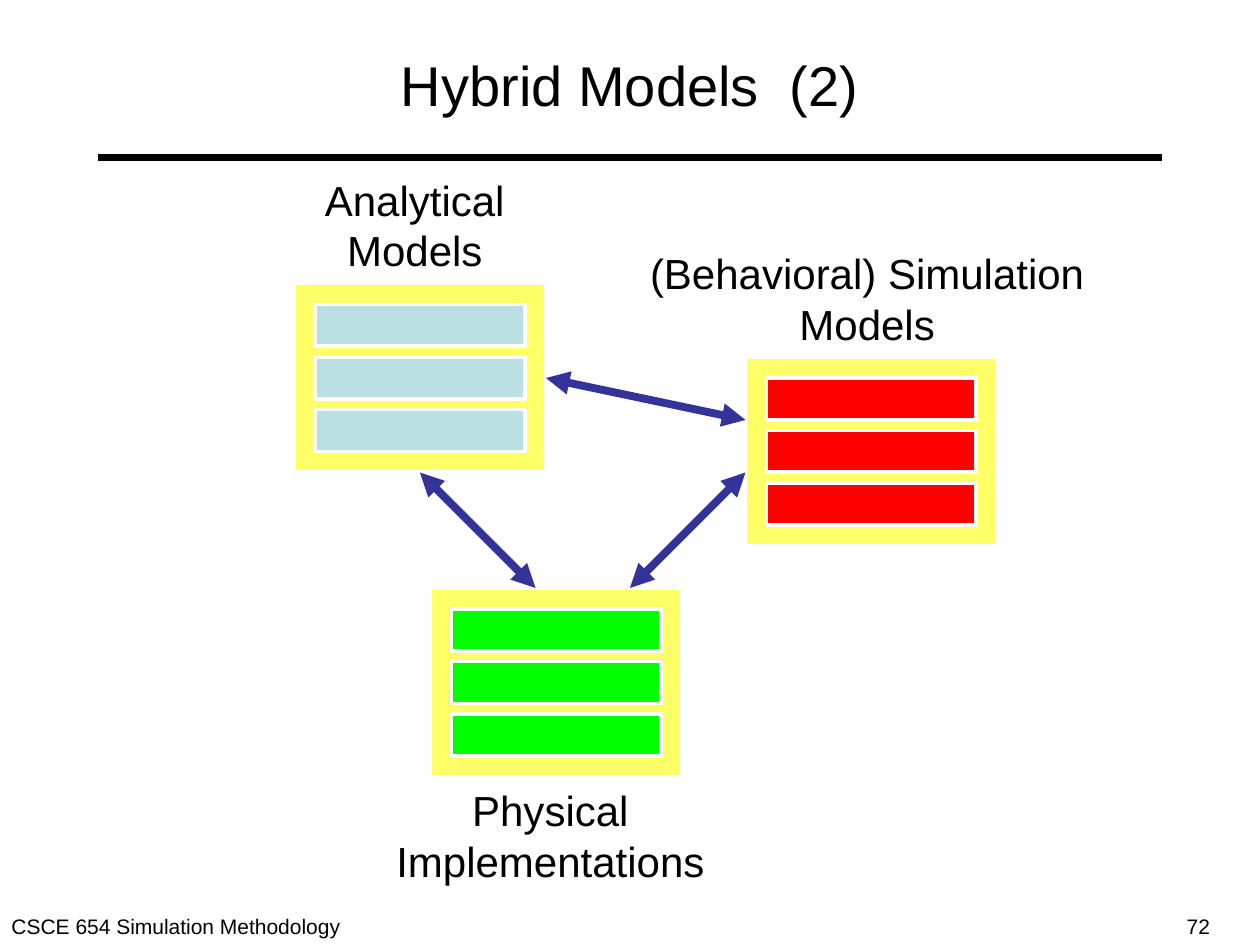
from dataclasses import dataclass

from pptx import Presentation
from pptx.dml.color import RGBColor
from pptx.enum.shapes import MSO_CONNECTOR, MSO_SHAPE
from pptx.enum.text import MSO_ANCHOR, PP_ALIGN
from pptx.oxml.ns import qn
from pptx.util import Pt
from lxml.etree import SubElement


@dataclass(frozen=True)
class Theme:
    font: str = "Arial"
    title: int = 32
    label: int = 24
    footer: int = 12
    text: str = "000000"
    panel: str = "FFFF66"
    outline: str = "FFFFFF"
    arrow: str = "333399"
    analytical: str = "BBE0E3"
    simulation: str = "FF0000"
    physical: str = "00FF00"


theme = Theme()


def write(tf, text, size, align):
    tf.word_wrap = True
    tf.text = text
    p = tf.paragraphs[0]
    p.alignment = align
    p.font.name = theme.font
    p.font.size = Pt(size)
    p.font.color.rgb = RGBColor.from_string(theme.text)


def add_line(x1, y1, x2, y2, color, arrows=False):
    line = s.shapes.add_connector(MSO_CONNECTOR.STRAIGHT, Pt(x1), Pt(y1), Pt(x2), Pt(y2))
    line.line.color.rgb = RGBColor.from_string(color)
    line.line.width = Pt(4.5)
    if arrows:
        ln = line.line._get_or_add_ln()
        for end in ("a:headEnd", "a:tailEnd"):
            SubElement(ln, qn(end), type="triangle")
    SubElement(line._element.spPr, qn("a:effectLst"))


prs = Presentation()
prs.slide_width, prs.slide_height = Pt(720), Pt(540)
s = prs.slides.add_slide(prs.slide_layouts[5])

# Title and rule
title = s.shapes.title
title.left, title.top, title.width, title.height = Pt(36), Pt(12), Pt(648), Pt(72)
title.text_frame.vertical_anchor = MSO_ANCHOR.MIDDLE
write(title.text_frame, "Hybrid Models  (2)", theme.title, PP_ALIGN.CENTER)
add_line(56.25, 90, 663.75, 90, theme.text)

# Model panels, each holding three bars
PANEL_W, PANEL_H = 144, 108
INSET, BAR_H, BAR_PITCH = 12, 24, 30
panels = [
    (168, 162, theme.analytical),
    (426, 204, theme.simulation),
    (246, 336, theme.physical),
]
for x, y, color in panels:
    boxes = [(x, y, PANEL_W, PANEL_H, theme.panel)]
    boxes += [
        (x + INSET, y + INSET + i * BAR_PITCH, PANEL_W - 2 * INSET, BAR_H, color)
        for i in range(3)
    ]
    for left, top, width, height, fill in boxes:
        sp = s.shapes.add_shape(MSO_SHAPE.RECTANGLE, Pt(left), Pt(top), Pt(width), Pt(height))
        sp.shadow.inherit = False
        sp.fill.solid()
        sp.fill.fore_color.rgb = RGBColor.from_string(fill)
        sp.line.color.rgb = RGBColor.from_string(theme.outline)
        sp.line.width = Pt(2.25)

# Links between the panels
for ends in [(312, 216, 426, 240), (426, 270, 360, 336), (240, 270, 306, 336)]:
    add_line(*ends, theme.arrow, arrows=True)

# Panel labels and footer
texts = [
    (176, 96, 122, 65, "Analytical\vModels", theme.label, PP_ALIGN.CENTER),
    (362, 138, 267, 65, "(Behavioral) Simulation\vModels", theme.label, PP_ALIGN.CENTER),
    (217, 445, 195, 65, "Physical\vImplementations", theme.label, PP_ALIGN.CENTER),
    (-0.5, 518.5, 210, 21.5, "CSCE 654 Simulation Methodology", theme.footer, PP_ALIGN.LEFT),
    (671, 518.5, 49, 21.5, "72", theme.footer, PP_ALIGN.LEFT),
]
for x, y, w, h, text, size, align in texts:
    box = s.shapes.add_textbox(Pt(x), Pt(y), Pt(w), Pt(h))
    write(box.text_frame, text, size, align)

prs.save("out.pptx")
